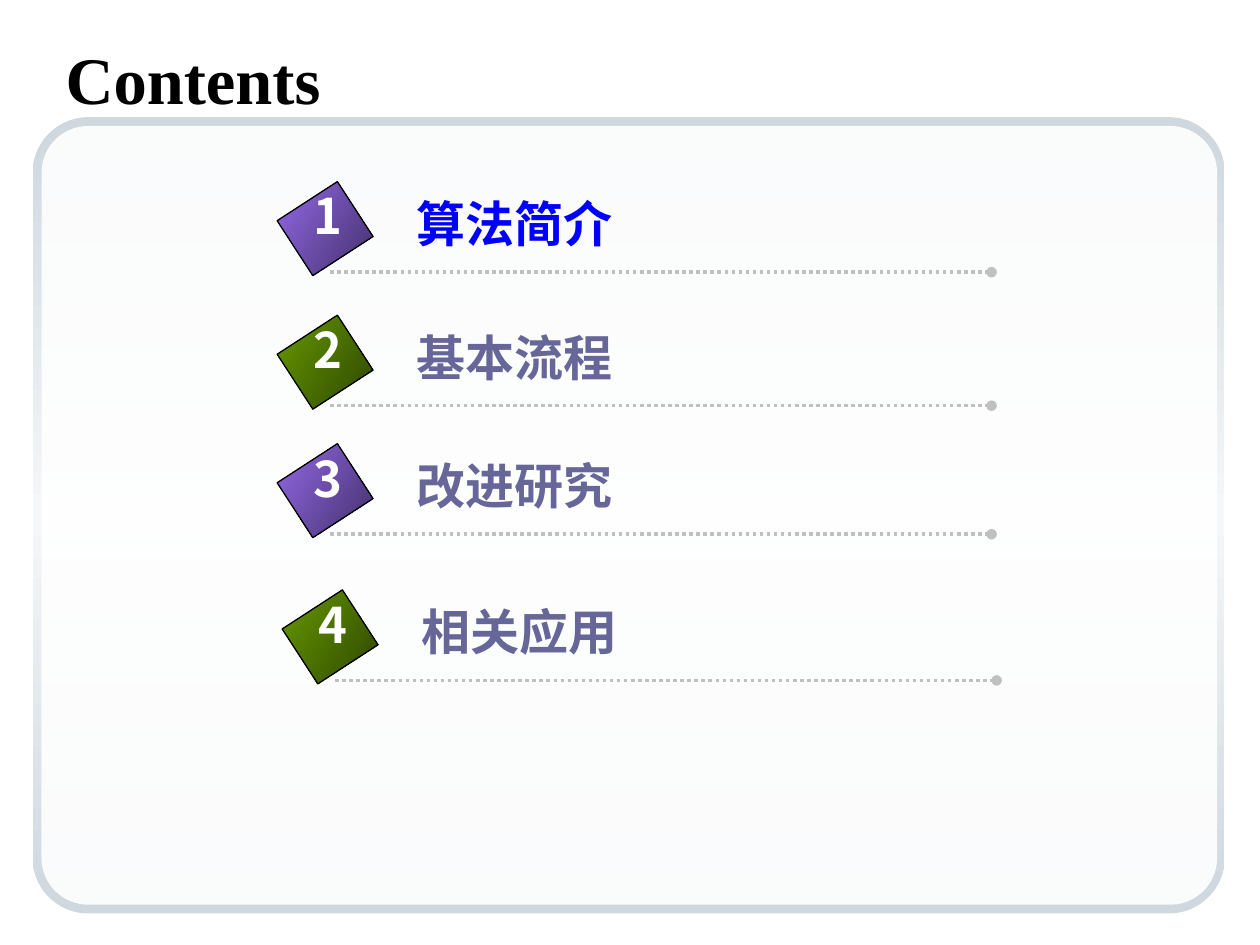
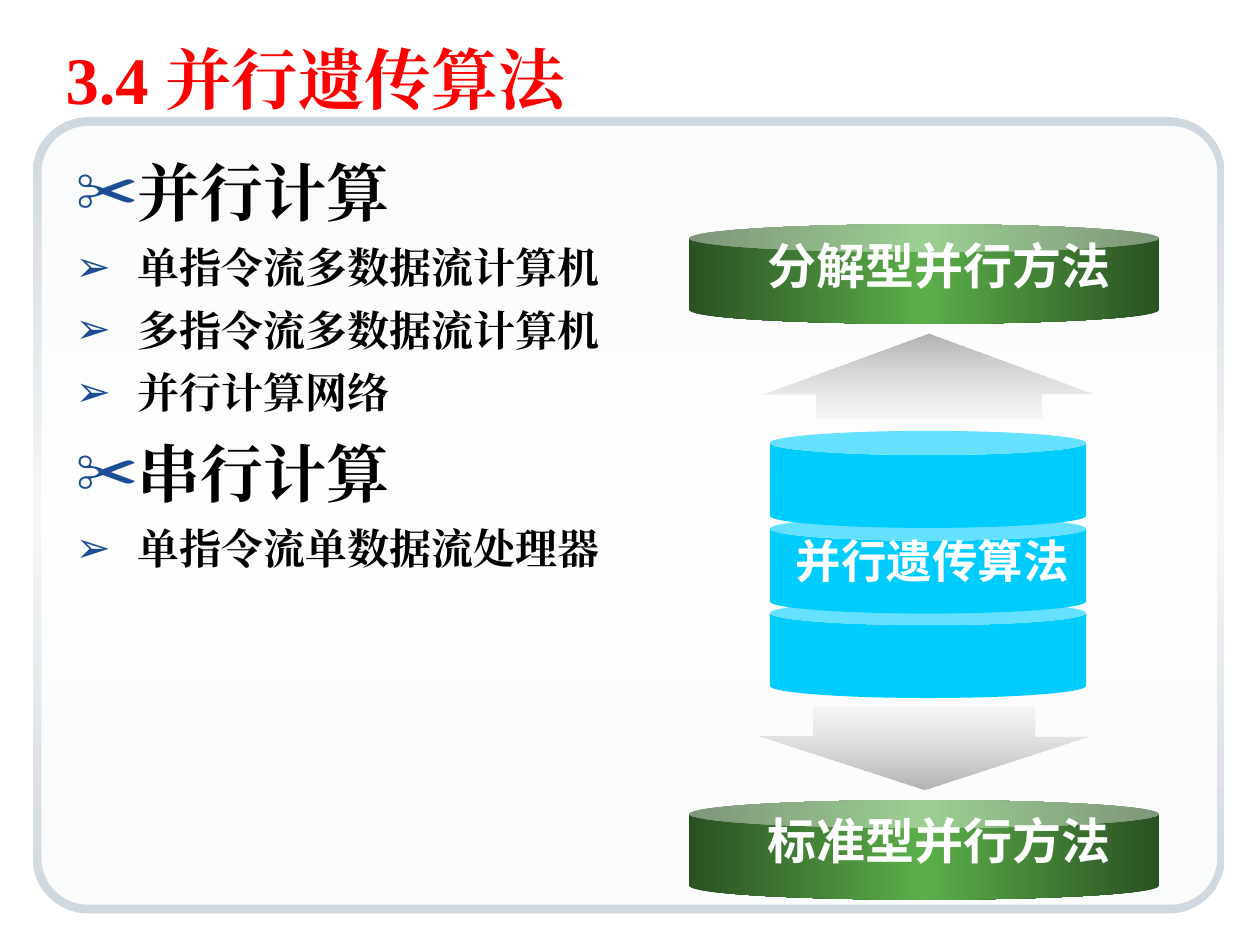
from dataclasses import dataclass

from lxml.etree import SubElement
from pptx import Presentation
from pptx.dml.color import RGBColor
from pptx.enum.dml import MSO_LINE
from pptx.enum.shapes import MSO_CONNECTOR, MSO_SHAPE as Preset
from pptx.enum.text import MSO_ANCHOR, MSO_AUTO_SIZE, PP_ALIGN
from pptx.oxml.ns import qn
from pptx.util import Pt

PX = 9144
SERIF = "Times New Roman"
SANS = "Arial"
CHINESE = "Noto Sans CJK SC"

BLACK = RGBColor(0x00, 0x00, 0x00)
WHITE = RGBColor(0xFF, 0xFF, 0xFF)
RED = RGBColor(0xFF, 0x00, 0x00)
BLUE = RGBColor(0x00, 0x00, 0xFF)
SLATE = RGBColor(0x66, 0x66, 0x99)
NAVY = RGBColor(0x1C, 0x4D, 0x94)
CYAN = RGBColor(0x00, 0xCC, 0xFF)
SILVER = RGBColor(0xC0, 0xC0, 0xC0)
FRAME_EDGE = RGBColor(0xCF, 0xD7, 0xDF)
FRAME_MIDDLE = RGBColor(0xF5, 0xF7, 0xF8)
PURPLE = RGBColor(0x93, 0x69, 0xE7)
DARK_PURPLE = RGBColor(0x44, 0x31, 0x6B)
OLIVE = RGBColor(0x66, 0x99, 0x00)
DARK_OLIVE = RGBColor(0x2F, 0x47, 0x00)
GREEN = RGBColor(0x5B, 0xAE, 0x4A)
DARK_GREEN = RGBColor(0x2A, 0x51, 0x22)
ARROW_TIP = RGBColor(0xB2, 0xB2, 0xB2)
ARROW_END = RGBColor(0xCE, 0xCE, 0xCE)


@dataclass(frozen=True)
class Box:
    left: int
    top: int
    width: int
    height: int

    def emu(self) -> tuple[int, ...]:
        return tuple(n * PX for n in (self.left, self.top, self.width, self.height))


@dataclass(frozen=True)
class Stop:
    position: int
    color: RGBColor
    alpha: int = 100


@dataclass(frozen=True)
class Chapter:
    title: str
    left: int
    top: int
    color: RGBColor
    stops: tuple[Stop, ...]


@dataclass(frozen=True)
class Bullet:
    text: str
    mark: str
    size: int
    before: int


@dataclass(frozen=True)
class Arrow:
    preset: Preset
    box: Box
    adjustments: tuple[float, ...]
    stops: tuple[Stop, ...]


TITLE_BOX = Box(42, 25, 933, 62)
BODY_BOX = Box(50, 117, 900, 592)
INDENT = 49
FRAME_STOPS = (Stop(0, FRAME_EDGE), Stop(50, FRAME_MIDDLE), Stop(100, FRAME_EDGE))
PURPLE_STOPS = (Stop(0, PURPLE), Stop(100, DARK_PURPLE))
OLIVE_STOPS = (Stop(0, OLIVE), Stop(100, DARK_OLIVE))
GREEN_STOPS = (Stop(0, DARK_GREEN), Stop(50, GREEN), Stop(100, DARK_GREEN))

CHAPTERS = (
    Chapter("算法简介", 232, 153, BLUE, PURPLE_STOPS),
    Chapter("基本流程", 232, 259, SLATE, OLIVE_STOPS),
    Chapter("改进研究", 232, 361, SLATE, PURPLE_STOPS),
    Chapter("相关应用", 236, 477, SLATE, OLIVE_STOPS),
)


def heading(text: str) -> Bullet:
    return Bullet(text, "✂", 36, 10)


def detail(text: str) -> Bullet:
    return Bullet(text, "➢", 24, 7)


BULLETS = (
    heading("并行计算"),
    detail("单指令流多数据流计算机"),
    detail("多指令流多数据流计算机"),
    detail("并行计算网络"),
    heading("串行计算"),
    detail("单指令流单数据流处理器"),
)
ARROWS = (
    Arrow(Preset.DOWN_ARROW, Box(602, 561, 263, 66), (0.67, 0.64),
          (Stop(0, ARROW_END, 12), Stop(100, ARROW_TIP))),
    Arrow(Preset.UP_ARROW, Box(606, 265, 263, 67), (0.68, 0.71),
          (Stop(0, ARROW_TIP), Stop(100, ARROW_END, 12))),
)
METHODS = (("标准型并行方法", 635), ("分解型并行方法", 178))


def add_color(parent, color: RGBColor, alpha: int = 100) -> None:
    element = SubElement(parent, qn("a:srgbClr"), val=str(color))
    if alpha < 100:
        SubElement(element, qn("a:alpha"), val=str(alpha * 1000))


def fill_gradient(shape, stops: tuple[Stop, ...], angle: int) -> None:
    shape.fill.gradient()
    gradient = shape.element.spPr.find(qn("a:gradFill"))
    for child in list(gradient):
        gradient.remove(child)
    gradient.set("rotWithShape", "0")
    stop_list = SubElement(gradient, qn("a:gsLst"))
    for stop in stops:
        element = SubElement(stop_list, qn("a:gs"), pos=str(stop.position * 1000))
        add_color(element, stop.color, stop.alpha)
    SubElement(gradient, qn("a:lin"), ang=str(angle * 60000), scaled="0")


def add_preset(slide, preset: Preset, box: Box, *, color: RGBColor = WHITE,
               stops: tuple[Stop, ...] = (), angle: int = 90,
               adjustments: tuple[float, ...] = ()):
    shape = slide.shapes.add_shape(preset, *box.emu())
    shape.shadow.inherit = False
    shape.line.fill.background()
    for index, value in enumerate(adjustments):
        shape.adjustments[index] = value
    if stops:
        fill_gradient(shape, stops, angle)
    else:
        shape.fill.solid()
        shape.fill.fore_color.rgb = color
    return shape


def write_text(paragraph, text: str, *, size: int, color: RGBColor = BLACK,
               font: str = SERIF, east_font: str = SERIF,
               align: PP_ALIGN = PP_ALIGN.LEFT) -> None:
    paragraph.alignment = align
    run = paragraph.add_run()
    run.text = text
    run.font.size = Pt(size)
    run.font.bold = True
    run.font.color.rgb = color
    run.font.name = font
    SubElement(run.font.element if hasattr(run.font, "element") else run._r.get_or_add_rPr(),
               qn("a:ea"), typeface=east_font)


def add_label(slide, text: str, box: Box, *, size: int = 28, color: RGBColor = WHITE,
              font: str = CHINESE, align: PP_ALIGN = PP_ALIGN.CENTER,
              wrap: bool = False) -> None:
    frame = slide.shapes.add_textbox(*box.emu()).text_frame
    frame.word_wrap = wrap
    paragraph = frame.paragraphs[0]
    paragraph.line_spacing = 0.9
    write_text(paragraph, text, size=size, color=color, font=font,
               east_font=CHINESE, align=align)


def place(placeholder, box: Box):
    placeholder.left, placeholder.top, placeholder.width, placeholder.height = box.emu()
    frame = placeholder.text_frame
    frame.auto_size = MSO_AUTO_SIZE.NONE
    frame.vertical_anchor = MSO_ANCHOR.TOP
    return frame


def add_slide(presentation, layout_index: int, title: str, color: RGBColor):
    slide = presentation.slides.add_slide(presentation.slide_layouts[layout_index])
    frame = place(slide.shapes.title, TITLE_BOX)
    write_text(frame.paragraphs[0], title, size=38, color=color)
    return slide


def move_panel_to_master(presentation, slide) -> None:
    border = add_preset(slide, Preset.ROUNDED_RECTANGLE, Box(26, 93, 946, 632),
                        stops=FRAME_STOPS, adjustments=(0.07,))
    panel = add_preset(slide, Preset.ROUNDED_RECTANGLE, Box(33, 100, 933, 618),
                       adjustments=(0.06,))
    color = panel.element.spPr.find(qn("a:solidFill")).find(qn("a:srgbClr"))
    SubElement(color, qn("a:alpha"), val="90000")
    tree = presentation.slide_master.shapes.element
    for index, shape in enumerate((border, panel)):
        shape.element.nvSpPr.cNvPr.set("id", str(101 + index))
        tree.insert(2 + index, shape.element)


def add_dotted_line(slide, left: int, top: int, length: int) -> None:
    connector = slide.shapes.add_connector(
        MSO_CONNECTOR.STRAIGHT, left * PX, top * PX, (left + length) * PX, top * PX)
    connector.line.color.rgb = SILVER
    connector.line.width = Pt(2)
    connector.line.dash_style = MSO_LINE.ROUND_DOT
    properties = connector.element.spPr
    SubElement(properties.find(qn("a:ln")), qn("a:tailEnd"), type="oval")
    SubElement(properties, qn("a:effectLst"))


def add_chapter(slide, number: int, chapter: Chapter) -> None:
    left, top = chapter.left, chapter.top
    add_dotted_line(slide, left + 30, top + 63, 525)
    diamond = add_preset(slide, Preset.RECTANGLE, Box(left, top, 52, 57),
                         stops=chapter.stops, angle=33)
    diamond.rotation = 57
    diamond.line.color.rgb = BLACK
    diamond.line.width = Pt(0.75)
    add_label(slide, chapter.title, Box(left + 89, top + 1, 195, 57),
              color=chapter.color, align=PP_ALIGN.LEFT)
    add_label(slide, str(number), Box(left + 7, top - 5, 43, 57))


def add_bullet(paragraph, bullet: Bullet) -> None:
    paragraph.space_before = Pt(bullet.before)
    write_text(paragraph, bullet.text, size=bullet.size)
    properties = paragraph._p.get_or_add_pPr()
    properties.set("marL", str(INDENT * PX))
    properties.set("indent", str(-INDENT * PX))
    add_color(SubElement(properties, qn("a:buClr")), NAVY)
    SubElement(properties, qn("a:buChar"), char=bullet.mark)


def build_contents(presentation) -> None:
    slide = add_slide(presentation, 5, "Contents", BLACK)
    move_panel_to_master(presentation, slide)
    for number, chapter in enumerate(CHAPTERS, start=1):
        add_chapter(slide, number, chapter)


def build_parallel(presentation) -> None:
    slide = add_slide(presentation, 1, "3.4 并行遗传算法", RED)
    frame = place(slide.placeholders[1], BODY_BOX)
    for index, bullet in enumerate(BULLETS):
        add_bullet(frame.add_paragraph() if index else frame.paragraphs[0], bullet)
    for level in (2, 1, 0):
        add_preset(slide, Preset.CAN, Box(611, 342 + round(level * 67.5), 251, 77),
                   color=CYAN, adjustments=(0.25,))
    for arrow in ARROWS:
        add_preset(slide, arrow.preset, arrow.box, stops=arrow.stops,
                   adjustments=arrow.adjustments)
    add_label(slide, "并行遗传算法", Box(581, 423, 318, 54), size=26, font=SANS, wrap=True)
    for text, top in METHODS:
        add_preset(slide, Preset.CAN, Box(547, top, 373, 79), stops=GREEN_STOPS,
                   angle=0, adjustments=(0.28,))
        add_label(slide, text, Box(599, top + 9, 292, 57), font=SANS)


def main() -> None:
    presentation = Presentation()
    presentation.slide_width = 1000 * PX
    presentation.slide_height = 750 * PX
    build_contents(presentation)
    build_parallel(presentation)
    presentation.save("out.pptx")


if __name__ == "__main__":
    main()
